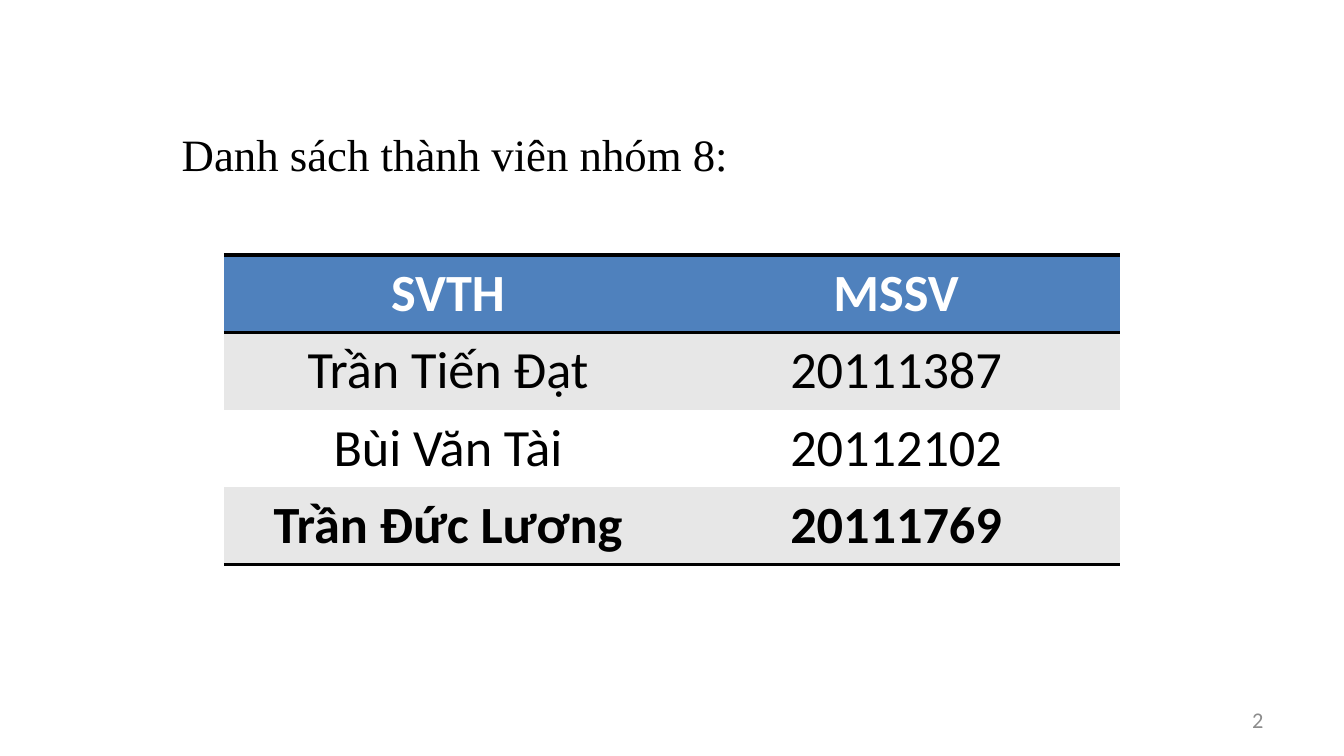
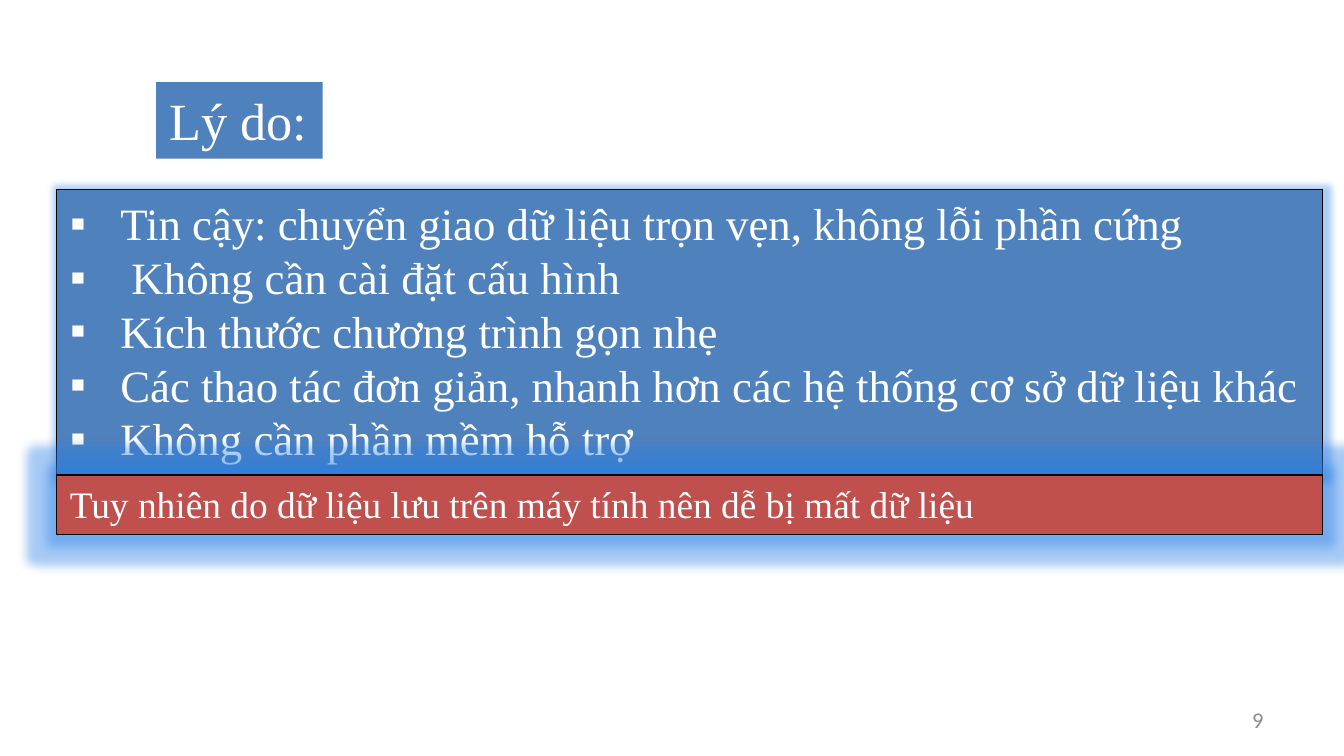
"""Build two slides: the member table of group 8 and the reasons for the choice."""

from dataclasses import dataclass
from typing import Optional

from lxml.etree import SubElement
from pptx import Presentation
from pptx.dml.color import RGBColor
from pptx.enum.shapes import MSO_SHAPE
from pptx.enum.text import MSO_ANCHOR, MSO_AUTO_SIZE, PP_ALIGN
from pptx.oxml.ns import qn
from pptx.util import Cm, Pt

BLACK = RGBColor(0x00, 0x00, 0x00)
WHITE = RGBColor(0xFF, 0xFF, 0xFF)
BLUE = RGBColor(0x4F, 0x81, 0xBD)
RED = RGBColor(0xC0, 0x50, 0x4D)
BAND = RGBColor(0xE7, 0xE7, 0xE7)
GREY = RGBColor(0x8C, 0x8C, 0x8C)

SERIF = "Times New Roman"
SANS = "Calibri"
TITLE_AND_CONTENT = 1
TITLE_ONLY = 5
PLAIN_TABLE_STYLE = "{2D5ABB26-0587-4C30-8999-92F81FD0307C}"
ROW_HEIGHT = Cm(1.44)
COLUMN_WIDTH = Cm(8.47)
BULLET_INDENT = Cm(0.95)
PANEL_LEFT = Cm(1.07)
PANEL_WIDTH = Cm(23.93)

MEMBERS = (
    ("SVTH", "MSSV"),
    ("Trần Tiến Đạt", "20111387"),
    ("Bùi Văn Tài", "20112102"),
    ("Trần Đức Lương", "20111769"),
)
REASONS = (
    "Tin cậy: chuyển giao dữ liệu trọn vẹn, không lỗi phần cứng",
    " Không cần cài đặt cấu hình",
    "Kích thước chương trình gọn nhẹ",
    "Các thao tác đơn giản, nhanh hơn các hệ thống cơ sở dữ liệu khác",
    "Không cần phần mềm hỗ trợ",
)
DRAWBACK = "Tuy nhiên do dữ liệu lưu trên máy tính nên dễ bị mất dữ liệu"


@dataclass(frozen=True)
class Area:
    """Position and size of a box."""

    left: int
    top: int
    width: int
    height: int


@dataclass(frozen=True)
class TextStyle:
    """Look of a paragraph."""

    size: int
    color: RGBColor
    name: str = SERIF
    bold: bool = False
    align: PP_ALIGN = PP_ALIGN.LEFT


@dataclass(frozen=True)
class Panel:
    """Filled text panel with an outline and a glow."""

    area: Area
    lines: tuple[str, ...]
    style: TextStyle
    fill: RGBColor
    glow: int
    bulleted: bool = False


REASON_PANEL = Panel(
    Area(PANEL_LEFT, Cm(3.58), PANEL_WIDTH, Cm(5.39)),
    REASONS, TextStyle(24, WHITE), BLUE, Pt(8), bulleted=True,
)
DRAWBACK_PANEL = Panel(
    Area(PANEL_LEFT, Cm(8.98), PANEL_WIDTH, Cm(1.12)),
    (DRAWBACK,), TextStyle(20, WHITE), RED, Pt(11),
)


def place(box, area: Area) -> None:
    """Move and size a box."""
    box.left, box.top = area.left, area.top
    box.width, box.height = area.width, area.height


def format_paragraph(para, style: TextStyle) -> None:
    """Apply a text style to a whole paragraph."""
    para.alignment = style.align
    para.space_before = Pt(0)
    para.font.name = style.name
    para.font.size = Pt(style.size)
    para.font.bold = style.bold
    para.font.color.rgb = style.color


def add_bullet(para) -> None:
    """Give a paragraph a square bullet and a hanging indent."""
    properties = para._p.get_or_add_pPr()
    properties.set("marL", str(BULLET_INDENT))
    properties.set("indent", str(-BULLET_INDENT))
    SubElement(properties, qn("a:buChar"), char="▪")


def write_lines(box, lines: tuple[str, ...], style: TextStyle,
                wrap: bool = True, anchor: MSO_ANCHOR = MSO_ANCHOR.TOP,
                bulleted: bool = False) -> None:
    """Write one styled paragraph for each line."""
    frame = box.text_frame
    frame.text = "\n".join(lines)
    frame.word_wrap = wrap
    frame.auto_size = MSO_AUTO_SIZE.NONE
    frame.vertical_anchor = anchor
    for para in frame.paragraphs:
        if bulleted:
            add_bullet(para)
        format_paragraph(para, style)


def add_glow(box, radius: int) -> None:
    """Surround a box with a translucent blue glow."""
    box.shadow.inherit = False
    effects = box._element.spPr.find(qn("a:effectLst"))
    glow = SubElement(effects, qn("a:glow"), rad=str(radius))
    color = SubElement(glow, qn("a:srgbClr"), val=str(BLUE))
    SubElement(color, qn("a:satMod"), val="175000")
    SubElement(color, qn("a:alpha"), val="40000")


def fill_panel(box, panel: Panel) -> None:
    """Turn a box into the described panel."""
    place(box, panel.area)
    box.fill.solid()
    box.fill.fore_color.rgb = panel.fill
    box.line.color.rgb = BLACK
    box.line.width = Pt(0.75)
    add_glow(box, panel.glow)
    write_lines(box, panel.lines, panel.style, bulleted=panel.bulleted)


def add_page(deck, layout: int, title: str, area: Area, style: TextStyle,
             number: int, fill: Optional[RGBColor] = None):
    """Add a slide with its title and page number."""
    page = deck.slides.add_slide(deck.slide_layouts[layout])
    heading = page.shapes.title
    place(heading, area)
    write_lines(heading, (title,), style, wrap=False)
    if fill is not None:
        heading.fill.solid()
        heading.fill.fore_color.rgb = fill
    footer = page.shapes.add_textbox(Cm(18.21), Cm(13.23), Cm(5.92), Cm(0.76))
    write_lines(footer, (str(number),),
                TextStyle(12, GREY, SANS, align=PP_ALIGN.RIGHT),
                anchor=MSO_ANCHOR.MIDDLE)
    return page


def add_border(cell, side: str) -> None:
    """Draw a black rule on one side of a cell."""
    properties = cell._tc.get_or_add_tcPr()
    line = SubElement(properties, qn(f"a:{side}"), w=str(Pt(2)))
    solid = SubElement(line, qn("a:solidFill"))
    SubElement(solid, qn("a:srgbClr"), val=str(BLACK))


def add_member_table(page) -> None:
    """Add the banded table of members."""
    last = len(MEMBERS) - 1
    columns = len(MEMBERS[0])
    frame = page.shapes.add_table(
        len(MEMBERS), columns, Cm(4.23), Cm(4.82),
        COLUMN_WIDTH * columns, ROW_HEIGHT * len(MEMBERS))
    for style_id in frame._element.iter(qn("a:tableStyleId")):
        style_id.text = PLAIN_TABLE_STYLE
    for row, values in enumerate(MEMBERS):
        header = row == 0
        style = TextStyle(28, WHITE if header else BLACK, SANS,
                          row in (0, last), PP_ALIGN.CENTER)
        fill = BLUE if header else BAND if row % 2 else WHITE
        for column, value in enumerate(values):
            cell = frame.table.cell(row, column)
            cell.text = value
            format_paragraph(cell.text_frame.paragraphs[0], style)
            if header:
                add_border(cell, "lnT")
            if row in (0, last):
                add_border(cell, "lnB")
            cell.fill.solid()
            cell.fill.fore_color.rgb = fill


def build_members(deck) -> None:
    """Build the slide that lists the members."""
    page = add_page(deck, TITLE_ONLY, "Danh sách thành viên nhóm 8:",
                    Area(Cm(3.18), Cm(2.26), Cm(10.92), Cm(1.27)),
                    TextStyle(24, BLACK), 2)
    add_member_table(page)


def build_reasons(deck) -> None:
    """Build the slide that gives the reasons and the drawback."""
    page = add_page(deck, TITLE_AND_CONTENT, "Lý do:",
                    Area(Cm(2.95), Cm(1.55), Cm(3.15), Cm(1.45)),
                    TextStyle(28, WHITE), 9, BLUE)
    fill_panel(page.placeholders[1], REASON_PANEL)
    area = DRAWBACK_PANEL.area
    note = page.shapes.add_shape(MSO_SHAPE.RECTANGLE, area.left, area.top,
                                 area.width, area.height)
    fill_panel(note, DRAWBACK_PANEL)


def main() -> None:
    """Create and save the deck."""
    deck = Presentation()
    deck.slide_width, deck.slide_height = Cm(25.4), Cm(14.29)
    build_members(deck)
    build_reasons(deck)
    deck.save("out.pptx")


if __name__ == "__main__":
    main()
